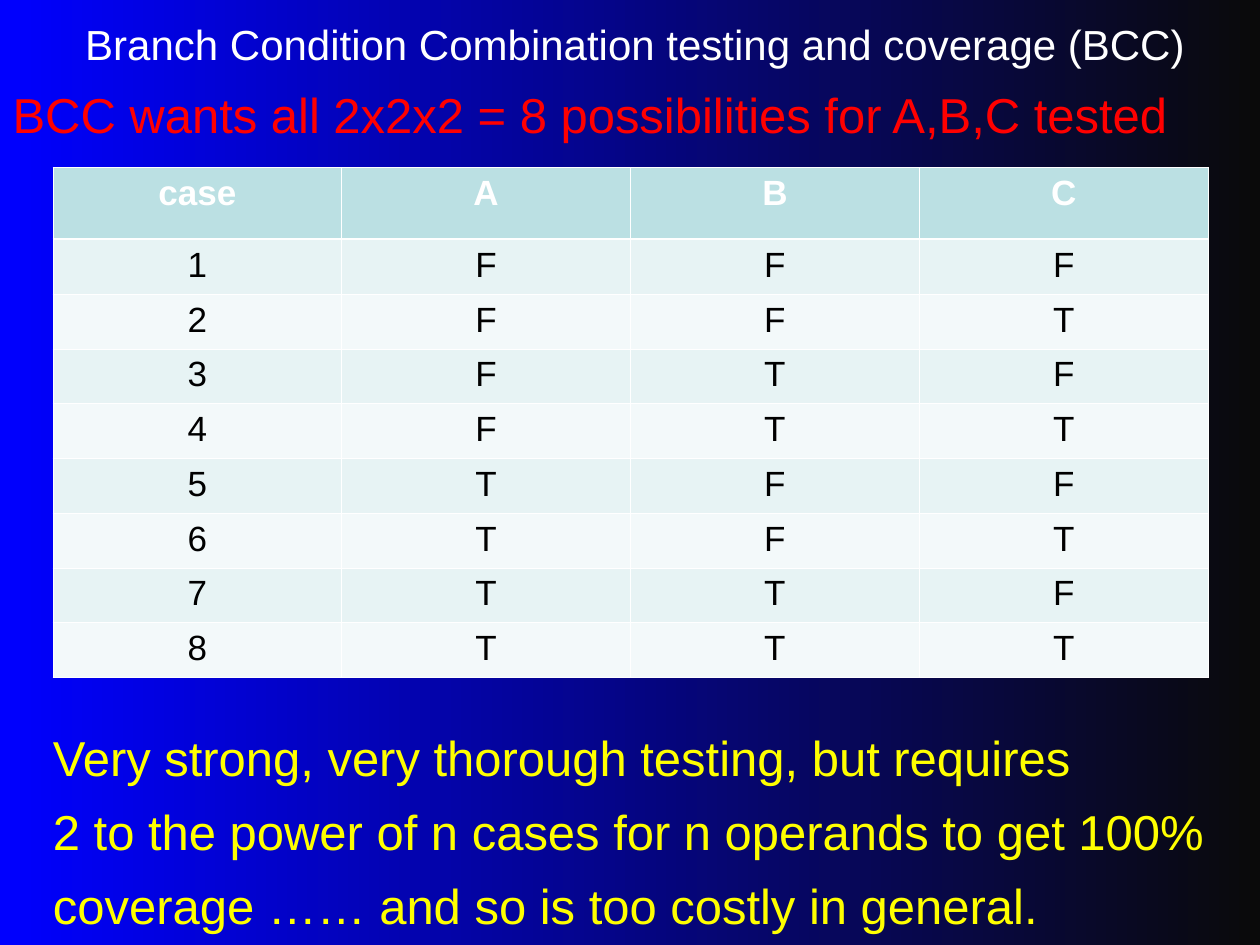
"""Build the slide on Branch Condition Combination testing."""
from dataclasses import dataclass
from itertools import product

from lxml import etree
from pptx import Presentation
from pptx.dml.color import RGBColor
from pptx.dml.fill import FillFormat
from pptx.enum.text import MSO_ANCHOR, MSO_AUTO_SIZE, PP_ALIGN
from pptx.oxml.ns import qn
from pptx.slide import Slide
from pptx.table import _Cell
from pptx.text.text import _Paragraph
from pptx.util import Inches, Pt

CENTER = PP_ALIGN.CENTER
LEFT = PP_ALIGN.LEFT
MIDDLE = MSO_ANCHOR.MIDDLE
TOP = MSO_ANCHOR.TOP
NO_FIT = MSO_AUTO_SIZE.NONE

BLUE = RGBColor(0x00, 0x00, 0xFF)
INK = RGBColor(0x0A, 0x0A, 0x0A)
BLACK = RGBColor(0x00, 0x00, 0x00)
WHITE = RGBColor(0xFF, 0xFF, 0xFF)
RED = RGBColor(0xFF, 0x00, 0x00)
YELLOW = RGBColor(0xFF, 0xFF, 0x00)
TEAL = RGBColor(0xBB, 0xE0, 0xE3)
BANDS = (RGBColor(0xE7, 0xF3, 0xF4), RGBColor(0xF3, 0xF9, 0xFA))

FONT = "Arial"
THIN, THICK = 0.45, 1.47
WIDTH, HEIGHT = 9.17, 4.05
HEAD = 0.57


@dataclass
class Line:
    text: str
    color: RGBColor
    gap: float
    indent: float


LINES = (
    Line("BCC wants all 2x2x2 = 8 possibilities for A,B,C tested", RED, 0, 0),
    Line("Very strong, very thorough testing, but requires", YELLOW, 334, 0.32),
    Line("2 to the power of n cases for n operands to get 100%", YELLOW, 8.5, 0.32),
    Line("coverage …… and so is too costly in general.", YELLOW, 8.5, 0.32),
)
NAMES = ("case", "A", "B", "C")
CASES = [(str(n), *row) for n, row in enumerate(product("FT", repeat=3), 1)]


def shade(fill: FillFormat) -> None:
    """Fade a fill from blue to near black, left to right."""
    fill.gradient()
    fill.gradient_angle = 0
    for stop, color in zip(fill.gradient_stops, (BLUE, INK)):
        stop.color.rgb = color


def style(para: _Paragraph, size: float, color: RGBColor, bold: bool = False) -> None:
    """Set the font of a paragraph."""
    font = para.font
    font.name, font.size, font.bold = FONT, Pt(size), bold
    font.color.rgb = color


def add_title(slide: Slide) -> None:
    """Fill the title placeholder."""
    title = slide.shapes.title
    title.left, title.top = Inches(0.08), Inches(0)
    title.width, title.height = Inches(9.92), Inches(0.69)
    frame = title.text_frame
    frame.text = "Branch Condition Combination testing and coverage (BCC)"
    frame.vertical_anchor, frame.auto_size = MIDDLE, NO_FIT
    para = frame.paragraphs[0]
    para.alignment = CENTER
    style(para, 24, WHITE)


def add_body(slide: Slide) -> None:
    """Fill the body placeholder and put it behind the title."""
    body = slide.placeholders[1]
    body.left, body.top = Inches(0), Inches(0.58)
    body.width, body.height = Inches(10), Inches(6.92)
    shade(body.fill)
    frame = body.text_frame
    frame.text = "\n".join(line.text for line in LINES)
    frame.auto_size, frame.vertical_anchor = NO_FIT, TOP
    frame.margin_top = Inches(0.09)
    for para, line in zip(frame.paragraphs, LINES):
        props = para._p.get_or_add_pPr()
        props.set("marL", str(Inches(line.indent)))
        props.set("indent", "0")
        etree.SubElement(props, qn("a:buNone"))
        para.alignment = LEFT
        para.space_before = Pt(line.gap)
        style(para, 28, line.color)
    slide.shapes.title._element.addprevious(body._element)


def edge(cell: _Cell, side: str, width: float) -> None:
    """Draw one white border of a cell."""
    props = cell._tc.get_or_add_tcPr()
    line = etree.SubElement(props, qn(f"a:ln{side}"), w=str(Pt(width)))
    solid = etree.SubElement(line, qn("a:solidFill"))
    etree.SubElement(solid, qn("a:srgbClr"), val=str(WHITE))


def add_grid(slide: Slide) -> None:
    """Add the truth table."""
    rows = [NAMES, *CASES]
    grid = slide.shapes.add_table(
        len(rows), len(NAMES), Inches(0.42), Inches(1.33), Inches(WIDTH), Inches(HEIGHT)
    ).table
    for col in grid.columns:
        col.width = Inches(WIDTH / len(NAMES))
    for r, row in enumerate(rows):
        top = r == 0
        grid.rows[r].height = Inches(HEAD if top else (HEIGHT - HEAD) / len(CASES))
        for c, text in enumerate(row):
            cell = grid.cell(r, c)
            cell.text = text
            edge(cell, "L", THIN)
            edge(cell, "R", THIN)
            edge(cell, "T", THICK if r == 1 else THIN)
            edge(cell, "B", THICK if top else THIN)
            cell.fill.solid()
            cell.fill.fore_color.rgb = TEAL if top else BANDS[(r - 1) % 2]
            para = cell.text_frame.paragraphs[0]
            para.alignment = CENTER
            style(para, 20, WHITE if top else BLACK, top)


def main() -> None:
    """Build and save the deck."""
    deck = Presentation()
    deck.slide_width, deck.slide_height = Inches(10), Inches(7.5)
    slide = deck.slides.add_slide(deck.slide_layouts[1])
    shade(slide.background.fill)
    add_title(slide)
    add_body(slide)
    add_grid(slide)
    deck.save("out.pptx")


if __name__ == "__main__":
    main()
